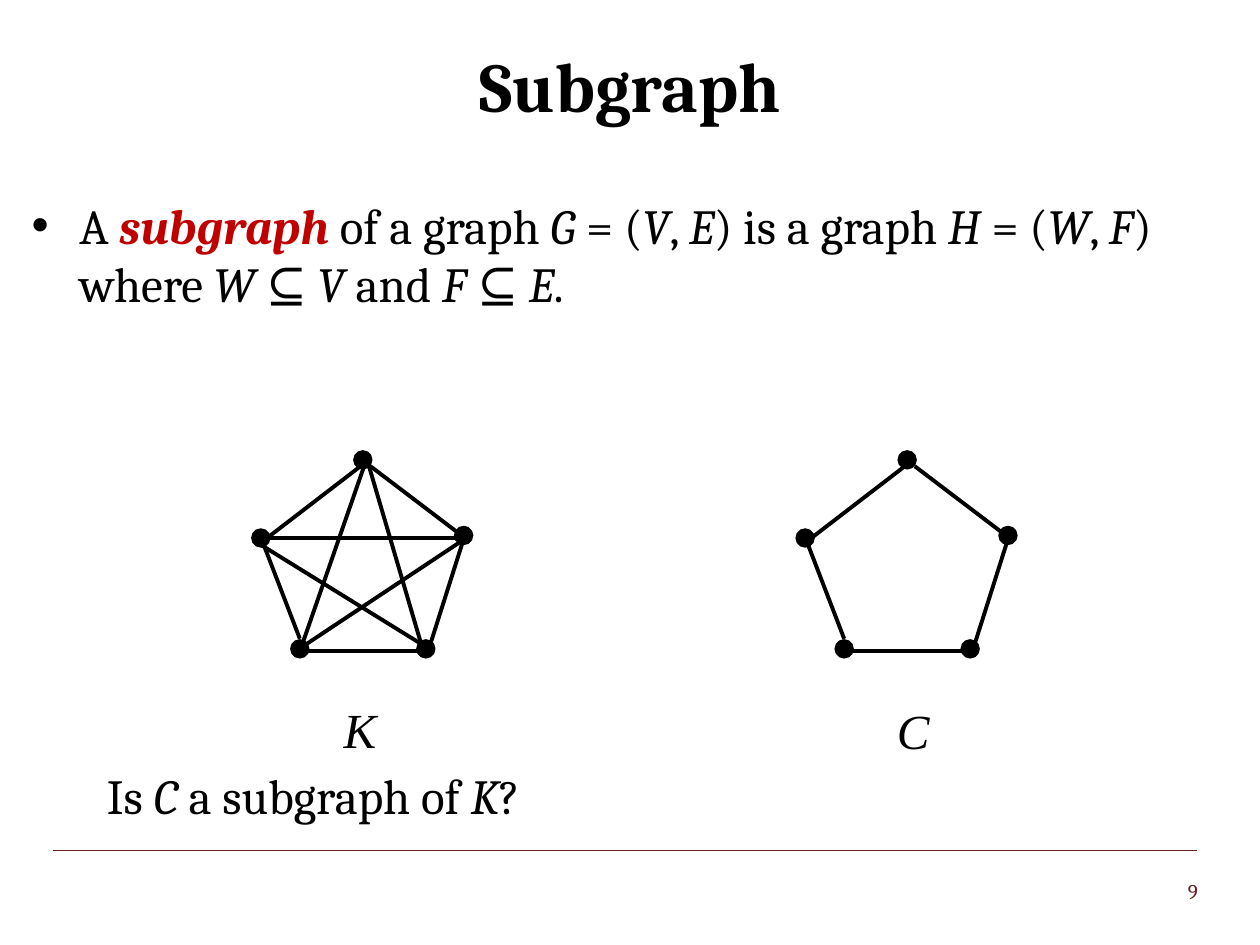
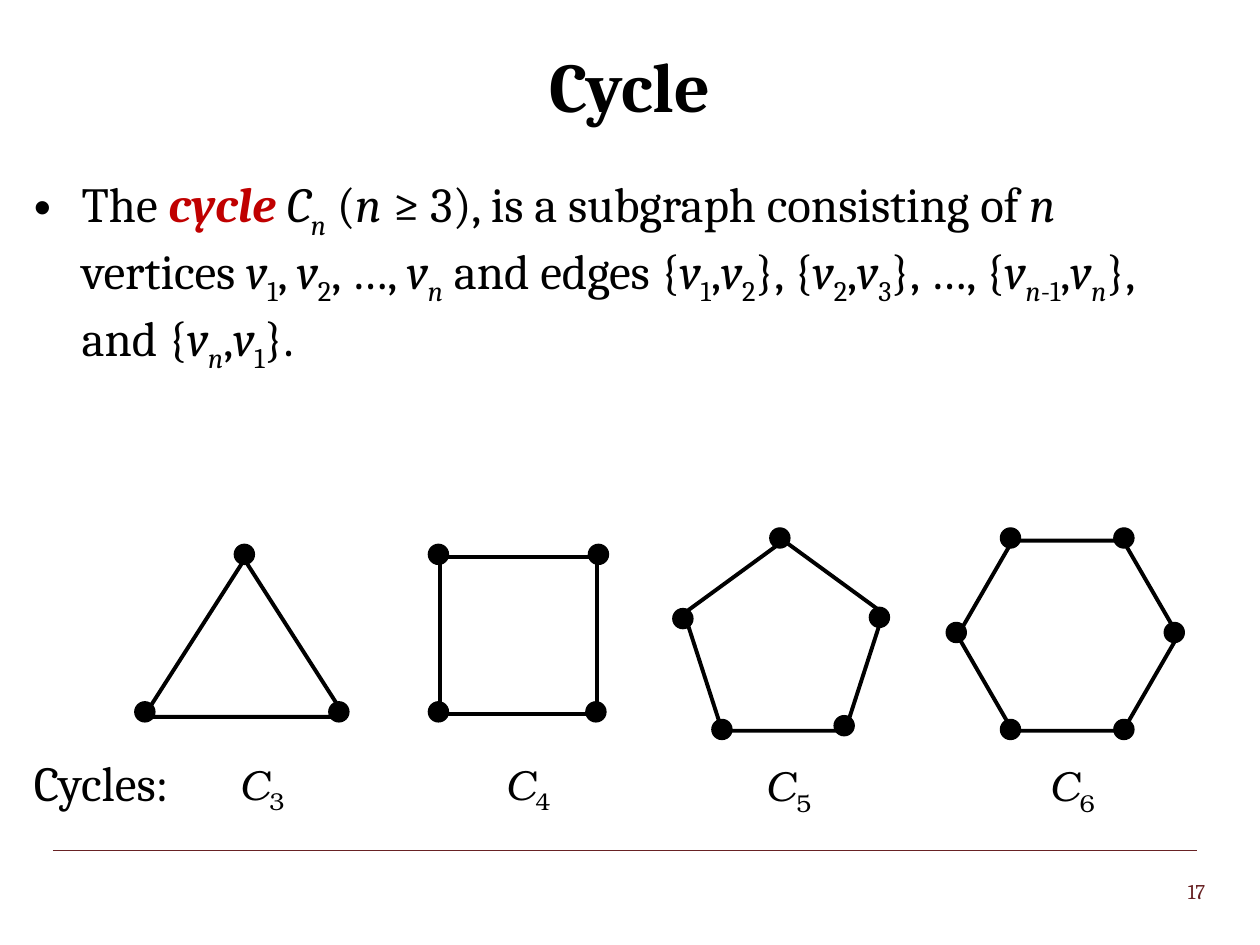
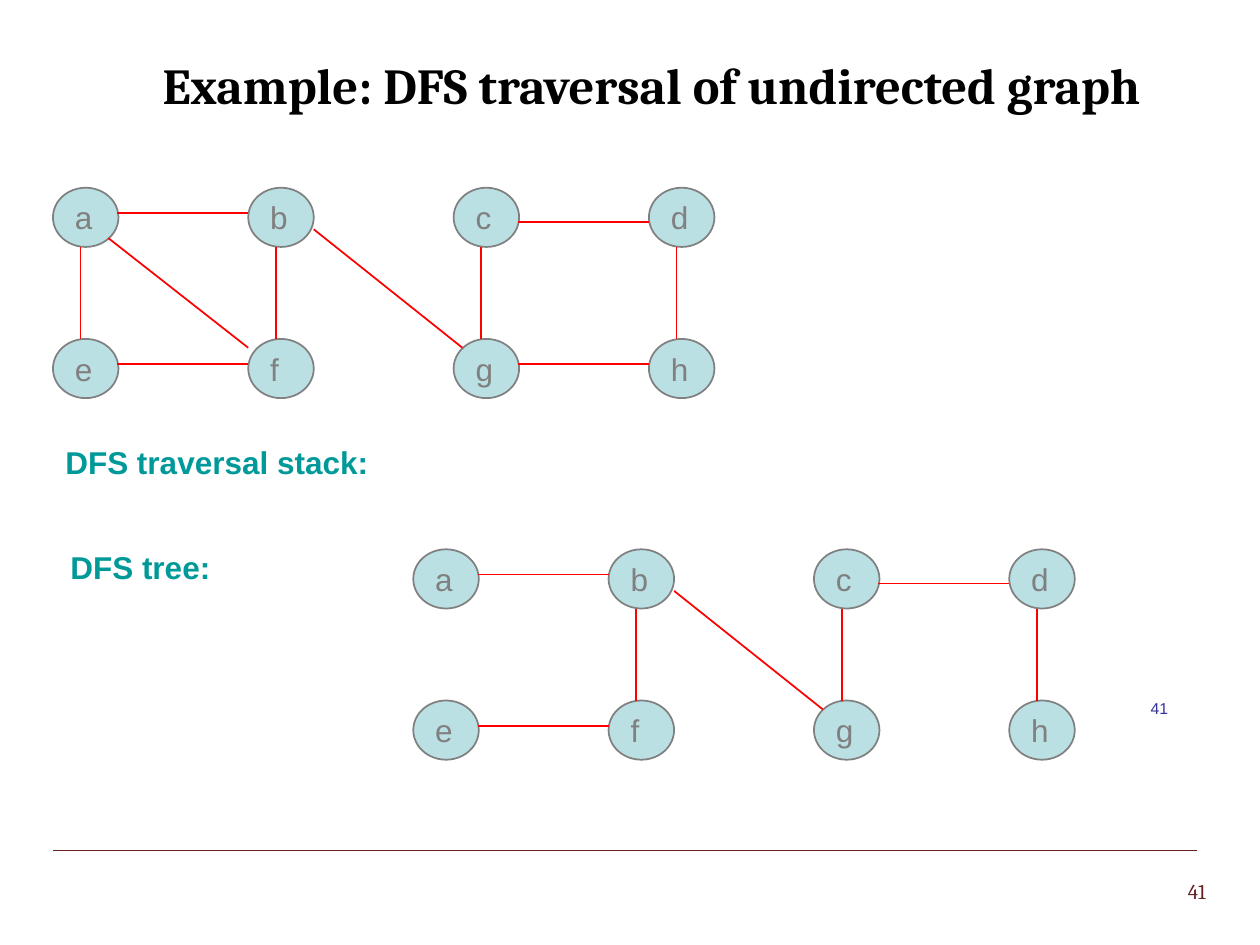
from itertools import groupby

from lxml.etree import SubElement
from pptx import Presentation
from pptx.dml.color import RGBColor
from pptx.enum.shapes import MSO_CONNECTOR, MSO_SHAPE
from pptx.enum.text import MSO_ANCHOR, MSO_AUTO_SIZE, PP_ALIGN
from pptx.oxml.ns import qn
from pptx.util import Inches, Pt

BLACK, MAROON, KEY_RED = "000000", "682224", "C00000"
EDGE_RED, NODE_FILL, GRAY = "FF0000", "BBE0E3", "808080"
TEAL, NAVY = "009999", "333399"

TITLE = {"name": "Cambria", "size": Pt(40), "bold": True}
LONG_TITLE = {**TITLE, "size": Pt(28.8)}
BODY = {"name": "Cambria", "size": Pt(28)}
PAGE = {"name": "Cambria", "size": Pt(12)}
GRAPH_NAME = {"name": "Times New Roman", "size": Pt(28)}
CYCLE_NAME = {"name": "TeX Gyre Bonum", "size": Pt(24)}
NODE_NAME = {"name": "Arial", "size": Pt(18)}
CAPTION = {**NODE_NAME, "bold": True}
SMALL_PAGE = {"name": "Arial", "size": Pt(9)}

TITLE_AT = (0.5, 0.17, 9, 1)
FIVE_DOTS = [(0.81, 0), (0, 0.62), (1.61, 0.6), (0.31, 1.5), (1.31, 1.5)]
RING = [
    (0.08, 0.71, 0.38, 1.49), (1.42, 1.59, 0.43, 1.59),
    (1.41, 1.55, 1.67, 0.73), (0.94, 0.12, 1.69, 0.69),
    (0.12, 0.69, 0.94, 0.06),
]
DIAGONALS = [
    (0.08, 0.75, 1.39, 1.56), (0.39, 1.56, 1.7, 0.69),
    (0.92, 0.09, 1.36, 1.59), (0.89, 0.12, 0.39, 1.56),
    (0.08, 0.69, 1.64, 0.69),
]
CYCLES = [
    (3, MSO_SHAPE.ISOSCELES_TRIANGLE, (1.14, 4.44, 1.6, 1.25), (1.8, 5.97),
     [(1.07, 5.57), (1.86, 4.32), (2.61, 5.57)]),
    (4, MSO_SHAPE.RECTANGLE, (3.49, 4.42, 1.25, 1.25), (3.91, 5.97),
     [(3.4, 5.57), (3.4, 4.32), (4.67, 4.32), (4.65, 5.57)]),
    (5, MSO_SHAPE.REGULAR_PENTAGON, (5.43, 4.29, 1.58, 1.51), (5.98, 5.98),
     [(6.11, 4.19), (6.9, 4.82), (6.62, 5.68), (5.65, 5.71), (5.34, 4.83)]),
    (6, MSO_SHAPE.HEXAGON, (7.6, 4.29, 1.75, 1.51), (8.23, 5.98),
     [(9.24, 4.94), (8.84, 4.19), (8.84, 5.71), (7.94, 5.71), (7.51, 4.94),
      (7.94, 4.19)]),
]
NODE_COLUMNS = (0, 1.55, 3.18, 4.73)
NODE_ROWS = {"abcd": 0, "efgh": 1.2}
DFS_EDGES = {
    "ab": (0.51, 0.2, 1.55, 0.2), "ae": (0.22, 0.47, 0.22, 1.2),
    "ef": (0.51, 1.4, 1.55, 1.4), "bf": (1.77, 0.47, 1.77, 1.2),
    "af": (0.44, 0.4, 1.55, 1.27), "cg": (3.4, 0.47, 3.4, 1.2),
    "gh": (3.69, 1.4, 4.73, 1.4), "dh": (4.95, 0.47, 4.95, 1.2),
    "cd": (3.69, 0.27, 4.73, 0.27), "bg": (2.07, 0.33, 3.25, 1.27),
}
TREE_EDGES = ("ab", "ef", "bf", "cg", "dh", "cd", "bg")


def rgb(value):
    """Turn a hex string into a colour."""
    return RGBColor.from_string(value)


def box(values):
    """Turn numbers into lengths in inches."""
    return [Inches(v) for v in values]


def shift(origin, edge):
    """Move an edge by the origin of its graph."""
    x, y = origin
    x1, y1, x2, y2 = edge
    return x + x1, y + y1, x + x2, y + y2


def marked_chars(text):
    """Yield each character with its marks: * italic, _ subscript, ! key term."""
    marks = frozenset()
    for ch in text:
        if ch in "*_!":
            marks = marks ^ {ch}
        else:
            yield marks, ch


def write(p, text, style, color):
    """Add marked text to a paragraph as runs."""
    for marks, chars in groupby(marked_chars(text), key=lambda pair: pair[0]):
        r = p.add_run()
        r.text = "".join(ch for _, ch in chars)
        key = "!" in marks
        values = {**style, "italic": key or "*" in marks}
        if key:
            values["bold"] = True
        for name, value in values.items():
            setattr(r.font, name, value)
        r.font.color.rgb = rgb(KEY_RED if key else color)
        if "_" in marks:
            r._r.get_or_add_rPr().set("baseline", "-25000")


def add_text(s, at, text, style, color=BLACK, wrap=True, **frame):
    """Add a text box; frame holds further text frame values."""
    tf = s.shapes.add_textbox(*box(at)).text_frame
    tf.word_wrap = wrap
    if not wrap:
        tf.auto_size = MSO_AUTO_SIZE.SHAPE_TO_FIT_TEXT
    for name, value in frame.items():
        setattr(tf, name, value)
    p = tf.paragraphs[0]
    write(p, text, style, color)
    return p


def add_bullet(s, at, text, **frame):
    """Add a body box with one bulleted paragraph."""
    p = add_text(s, at, text, BODY, **frame)
    pPr = p._p.get_or_add_pPr()
    pPr.set("marL", str(Inches(0.38)))
    pPr.set("indent", str(Inches(-0.38)))
    SubElement(pPr, qn("a:buFont")).set("typeface", "Arial")
    SubElement(pPr, qn("a:buChar")).set("char", "•")


def add_line(s, edge, color=BLACK, width=2.25):
    """Draw a straight line."""
    line = s.shapes.add_connector(MSO_CONNECTOR.STRAIGHT, *box(edge))
    line.line.color.rgb = rgb(color)
    line.line.width = Pt(width)
    SubElement(line._element.spPr, qn("a:effectLst"))


def add_shape(s, kind, at, fill=None, line=BLACK, width=2.25):
    """Draw a preset shape, unfilled unless a fill is given."""
    sp = s.shapes.add_shape(kind, *box(at))
    sp.shadow.inherit = False
    if fill:
        sp.fill.solid()
        sp.fill.fore_color.rgb = rgb(fill)
    else:
        sp.fill.background()
    sp.line.color.rgb = rgb(line)
    sp.line.width = Pt(width)
    return sp


def add_dot(s, x, y, size, width):
    """Draw a black vertex."""
    add_shape(s, MSO_SHAPE.OVAL, (x, y, size, size), BLACK, BLACK, width)


def add_node(s, x, y, name):
    """Draw a named node."""
    sp = add_shape(s, MSO_SHAPE.OVAL, (x, y, 0.52, 0.47), NODE_FILL, GRAY, 1)
    tf = sp.text_frame
    tf.word_wrap = False
    tf.vertical_anchor = MSO_ANCHOR.MIDDLE
    p = tf.paragraphs[0]
    p.alignment = PP_ALIGN.LEFT
    write(p, name, NODE_NAME, GRAY)


def add_five_graph(s, x, y, edges):
    """Draw a graph on five vertices."""
    for edge in edges:
        add_line(s, shift((x, y), edge))
    for dx, dy in FIVE_DOTS:
        add_dot(s, x + dx, y + dy, 0.14, 1)


def add_dfs_graph(s, x, y, edges):
    """Draw the eight nodes and the named edges."""
    for names, dy in NODE_ROWS.items():
        for name, dx in zip(names, NODE_COLUMNS):
            add_node(s, x + dx, y + dy, name)
    for edge in edges:
        add_line(s, shift((x, y), DFS_EDGES[edge]), EDGE_RED, 1)


def start_slide(prs, title, page, at=TITLE_AT, style=TITLE):
    """Add a slide with its title, footer rule and page number."""
    s = prs.slides.add_slide(prs.slide_layouts[6])
    add_line(s, (0.42, 6.75, 9.5, 6.75), MAROON, 0.75)
    add_text(s, (9.33, 6.92, 0.4, 0.3), page, PAGE, MAROON, wrap=False)
    p = add_text(s, at, title, style, vertical_anchor=MSO_ANCHOR.MIDDLE)
    p.alignment = PP_ALIGN.CENTER
    return s


def subgraph_slide(prs):
    """Build the slide that defines a subgraph."""
    s = start_slide(prs, "Subgraph", "9")
    add_bullet(
        s, (0.25, 1.5, 9.42, 1.67),
        "A !subgraph !of a graph *G* = (*V*, *E*) is a graph *H* = (*W*, *F*) "
        "where *W *⊆ *V* and *F *⊆ *E*.",
        margin_left=0, margin_right=0)
    add_five_graph(s, 2, 3.58, RING + DIAGONALS)
    add_five_graph(s, 6.32, 3.58, RING)
    for name, x, y in (("K", 2.63, 5.5), ("C", 7.02, 5.51)):
        add_text(s, (x, y, 0.46, 0.57), f"*{name}*", GRAPH_NAME, wrap=False)
    add_text(s, (0.75, 6.03, 4.58, 0.57), "Is *C* a subgraph of *K*?", BODY)


def cycle_slide(prs):
    """Build the slide that defines cycles."""
    s = start_slide(prs, "Cycle", "17")
    add_bullet(
        s, (0.17, 1.33, 9.5, 2.25),
        "The !cycle !*C_n_* (*n *≥ 3), is a subgraph consisting of *n* vertices "
        "*v*_1_, *v*_2_, …, *v_n_* and edges {*v*_1_,*v*_2_}, {*v*_2_,*v*_3_}, "
        "…, {*v_n*-1_,*v_n_*}, and {*v_n_*,*v*_1_}.")
    for count, kind, at, label_at, dots in CYCLES:
        sp = add_shape(s, kind, at)
        if kind == MSO_SHAPE.HEXAGON:
            sp.adjustments[0] = 0.289
        for x, y in dots:
            add_dot(s, x, y, 0.16, 0.75)
        add_text(s, (*label_at, 0.58, 0.5), f"*C*_{count}_", CYCLE_NAME,
                 wrap=False)
    add_text(s, (0.17, 5.92, 1.58, 0.57), "Cycles:", BODY)


def dfs_slide(prs):
    """Build the slide with the depth-first traversal."""
    s = start_slide(prs, "Example: DFS traversal of undirected graph", "41",
                    (0.46, 0.42, 9.42, 0.5), LONG_TITLE)
    p = add_text(s, (8.53, 5.42, 0.84, 0.4), "41", SMALL_PAGE, NAVY,
                 vertical_anchor=MSO_ANCHOR.MIDDLE)
    p.alignment = PP_ALIGN.RIGHT
    add_dfs_graph(s, 0.42, 1.49, DFS_EDGES)
    add_text(s, (0.42, 3.47, 3.25, 0.5), "DFS traversal stack:", CAPTION, TEAL)
    add_text(s, (0.46, 4.3, 3.25, 0.5), "DFS tree:", CAPTION, TEAL)
    add_dfs_graph(s, 3.28, 4.36, TREE_EDGES)


def main():
    """Build and save the presentation."""
    prs = Presentation()
    prs.slide_width, prs.slide_height = Inches(10), Inches(7.5)
    subgraph_slide(prs)
    cycle_slide(prs)
    dfs_slide(prs)
    prs.save("out.pptx")


if __name__ == "__main__":
    main()
